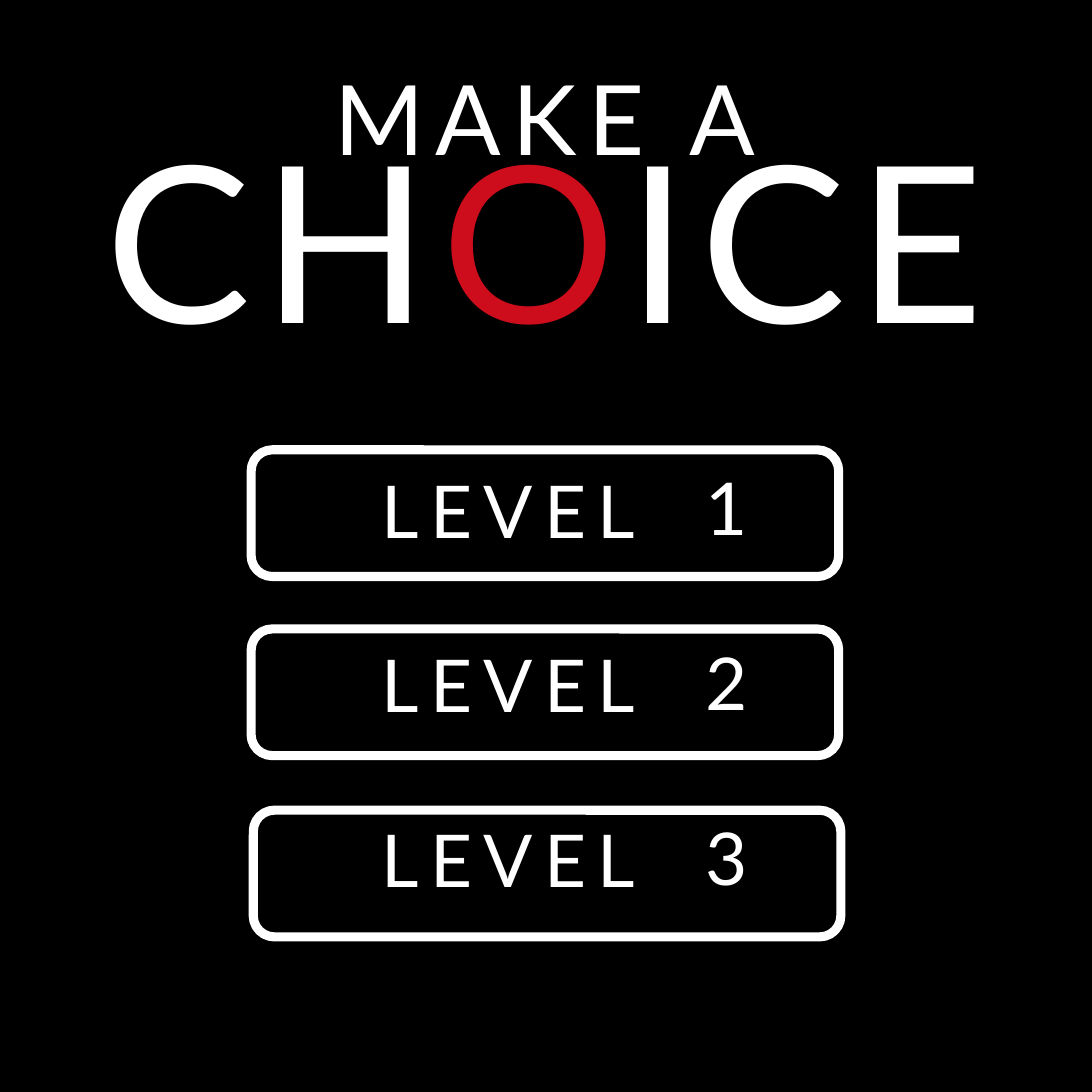
import dataclasses

import pptx
import pptx.dml.color
import pptx.enum.shapes
import pptx.enum.text
import pptx.util

Inches = pptx.util.Inches
Pt = pptx.util.Pt
Align = pptx.enum.text.PP_ALIGN


@dataclasses.dataclass(frozen=True)
class Theme:
    background: str = "000000"
    text: str = "FFFFFF"
    accent: str = "CD0D1C"
    font: str = "Lato"
    level_size: float = 24
    lead_size: float = 32
    title_size: float = 72
    level_gap: float = 28.8
    letter_spacing: float = 3.8
    border: float = 3


THEME = Theme()


def rgb(value):
    return pptx.dml.color.RGBColor.from_string(value)


def add_text(slide, place, lines, size, align, inset=(0.12, 0.06), wrap=True):
    frame = slide.shapes.add_textbox(*map(Inches, place)).text_frame
    frame.word_wrap = wrap
    frame.auto_size = pptx.enum.text.MSO_AUTO_SIZE.SHAPE_TO_FIT_TEXT
    frame.margin_left = frame.margin_right = Inches(inset[0])
    frame.margin_top = frame.margin_bottom = Inches(inset[1])
    for index, parts in enumerate(lines):
        line = frame.add_paragraph() if index else frame.paragraphs[0]
        line.alignment = align
        if index:
            line.space_before = Pt(THEME.level_gap)
        for words, color in parts:
            run = line.add_run()
            run.text = words
            run.font.name = THEME.font
            run.font.size = Pt(size)
            run.font.color.rgb = rgb(color)
            spacing = str(round(THEME.letter_spacing * 100))
            run.font._element.set("spc", spacing)


def add_button(slide, left, top):
    button = slide.shapes.add_shape(
        pptx.enum.shapes.MSO_SHAPE.ROUNDED_RECTANGLE,
        Inches(left), Inches(top), Inches(2.69), Inches(0.58))
    button.shadow.inherit = False
    button.fill.background()
    button.line.color.rgb = rgb(THEME.text)
    button.line.width = Pt(THEME.border)


def main():
    deck = pptx.Presentation()
    deck.slide_width = deck.slide_height = Inches(5)
    slide = deck.slides.add_slide(deck.slide_layouts[6])
    slide.background.fill.solid()
    slide.background.fill.fore_color.rgb = rgb(THEME.background)

    levels = ["1", "2", "3"]
    labels = [[("LEVEL", THEME.text)] for _ in levels]
    numbers = [[(level, THEME.text)] for level in levels]
    add_text(slide, (0.53, 2.07, 2.5, 2.55), labels, THEME.level_size, Align.RIGHT)
    add_text(slide, (3.11, 2.06, 2.5, 2.55), numbers, THEME.level_size, Align.LEFT)

    lead = [[("MAKE A", THEME.text)]]
    title = [[("CH", THEME.text), ("O", THEME.accent), ("ICE", THEME.text)]]
    add_text(slide, (1.4, 0.21, 2.19, 0.66), lead, THEME.lead_size,
             Align.CENTER, wrap=False)
    add_text(slide, (0.38, 0.43, 4.23, 1.31), title, THEME.title_size,
             Align.CENTER, inset=(0.1, 0.05))

    for left, top in ((1.15, 2.06), (1.15, 2.88), (1.16, 3.71)):
        add_button(slide, left, top)

    deck.save("out.pptx")


if __name__ == "__main__":
    main()
